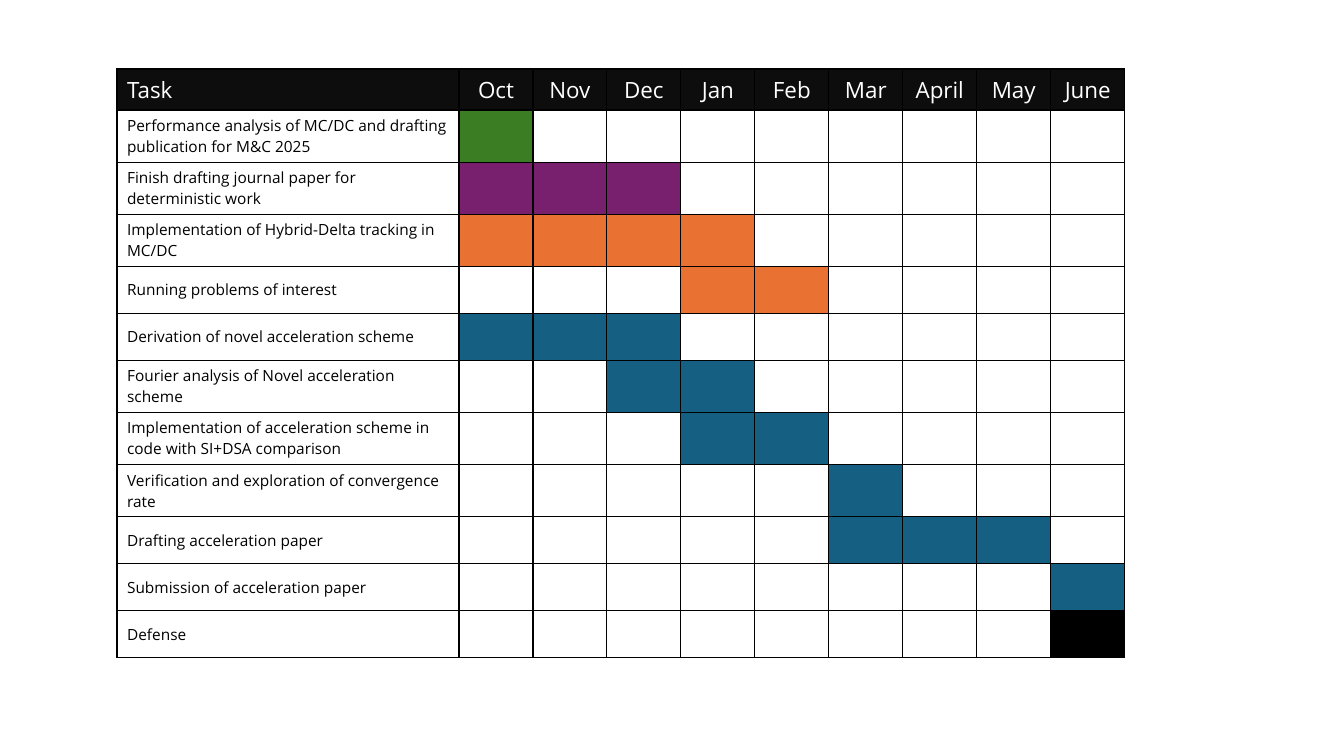
from dataclasses import dataclass

from lxml.etree import SubElement
from pptx import Presentation
from pptx.dml.color import RGBColor
from pptx.enum.text import MSO_ANCHOR, PP_ALIGN
from pptx.oxml.ns import qn
from pptx.table import _Cell
from pptx.util import Emu, Pt

SLIDE_WIDTH, SLIDE_HEIGHT = 1344, 756
EMU_PER_PX = 12192000 / SLIDE_WIDTH

TABLE_LEFT, TABLE_TOP = 117, 69
TASK_WIDTH, MONTH_WIDTH = 342, 74
HEADER_HEIGHT, TASK_HEIGHT = 41, 47

FONT = "Open Sans"
WHITE = RGBColor(0xFF, 0xFF, 0xFF)
BLACK = RGBColor(0x00, 0x00, 0x00)
HEADER_BLACK = RGBColor(0x0D, 0x0D, 0x0D)
GREEN = RGBColor(0x3B, 0x7D, 0x23)
PURPLE = RGBColor(0x78, 0x20, 0x6E)
ORANGE = RGBColor(0xE9, 0x71, 0x32)
BLUE = RGBColor(0x15, 0x60, 0x82)

MONTHS = ["Oct", "Nov", "Dec", "Jan", "Feb", "Mar", "April", "May", "June"]


@dataclass(frozen=True)
class Task:
    name: str
    start: str
    end: str
    color: RGBColor

    def covers(self, month: str) -> bool:
        first, last = MONTHS.index(self.start), MONTHS.index(self.end)
        return first <= MONTHS.index(month) <= last


TASKS = [
    Task("Performance analysis of MC/DC and drafting publication for M&C 2025",
         "Oct", "Oct", GREEN),
    Task("Finish drafting journal paper for deterministic work", "Oct", "Dec", PURPLE),
    Task("Implementation of Hybrid-Delta tracking in MC/DC", "Oct", "Jan", ORANGE),
    Task("Running problems of interest", "Jan", "Feb", ORANGE),
    Task("Derivation of novel acceleration scheme", "Oct", "Dec", BLUE),
    Task("Fourier analysis of Novel acceleration scheme", "Dec", "Jan", BLUE),
    Task("Implementation of acceleration scheme in code with SI+DSA comparison",
         "Jan", "Feb", BLUE),
    Task("Verification and exploration of convergence rate", "Mar", "Mar", BLUE),
    Task("Drafting acceleration paper", "Mar", "May", BLUE),
    Task("Submission of acceleration paper", "June", "June", BLUE),
    Task("Defense", "June", "June", BLACK),
]


def px(length: int) -> Emu:
    return Emu(round(length * EMU_PER_PX))


def draw_borders(cell: _Cell) -> None:
    properties = cell._tc.get_or_add_tcPr()
    for side in ("a:lnL", "a:lnR", "a:lnT", "a:lnB"):
        line = SubElement(properties, qn(side), w=str(Pt(1)))
        fill = SubElement(line, qn("a:solidFill"))
        SubElement(fill, qn("a:srgbClr"), val=str(BLACK))


def format_cell(cell: _Cell, fill: RGBColor | None = None) -> None:
    draw_borders(cell)
    cell.vertical_anchor = MSO_ANCHOR.MIDDLE
    if fill is None:
        cell.fill.background()
    else:
        cell.fill.solid()
        cell.fill.fore_color.rgb = fill


def write_cell(cell: _Cell, text: str, size: int, color: RGBColor,
               alignment: PP_ALIGN = PP_ALIGN.LEFT) -> None:
    cell.text_frame.text = text
    paragraph = cell.text_frame.paragraphs[0]
    paragraph.alignment = alignment
    font = paragraph.runs[0].font
    font.name, font.size, font.bold = FONT, Pt(size), False
    font.color.rgb = color


def main() -> None:
    presentation = Presentation()
    presentation.slide_width = px(SLIDE_WIDTH)
    presentation.slide_height = px(SLIDE_HEIGHT)
    slide = presentation.slides.add_slide(presentation.slide_layouts[6])

    # Table grid
    table = slide.shapes.add_table(
        len(TASKS) + 1, len(MONTHS) + 1, px(TABLE_LEFT), px(TABLE_TOP),
        px(TASK_WIDTH + MONTH_WIDTH * len(MONTHS)),
        px(HEADER_HEIGHT + TASK_HEIGHT * len(TASKS))).table
    table.horz_banding = False
    for index, column in enumerate(table.columns):
        column.width = px(MONTH_WIDTH if index else TASK_WIDTH)
    for index, row in enumerate(table.rows):
        row.height = px(TASK_HEIGHT if index else HEADER_HEIGHT)

    # Header row
    for index, heading in enumerate(["Task", *MONTHS]):
        cell = table.cell(0, index)
        format_cell(cell, HEADER_BLACK)
        write_cell(cell, heading, 16, WHITE,
                   PP_ALIGN.CENTER if index else PP_ALIGN.LEFT)

    # Task rows with their coloured months
    for row_index, task in enumerate(TASKS, start=1):
        name_cell = table.cell(row_index, 0)
        format_cell(name_cell)
        write_cell(name_cell, task.name, 11, BLACK)
        for column_index, month in enumerate(MONTHS, start=1):
            format_cell(table.cell(row_index, column_index),
                        task.color if task.covers(month) else None)

    presentation.save("out.pptx")


if __name__ == "__main__":
    main()
